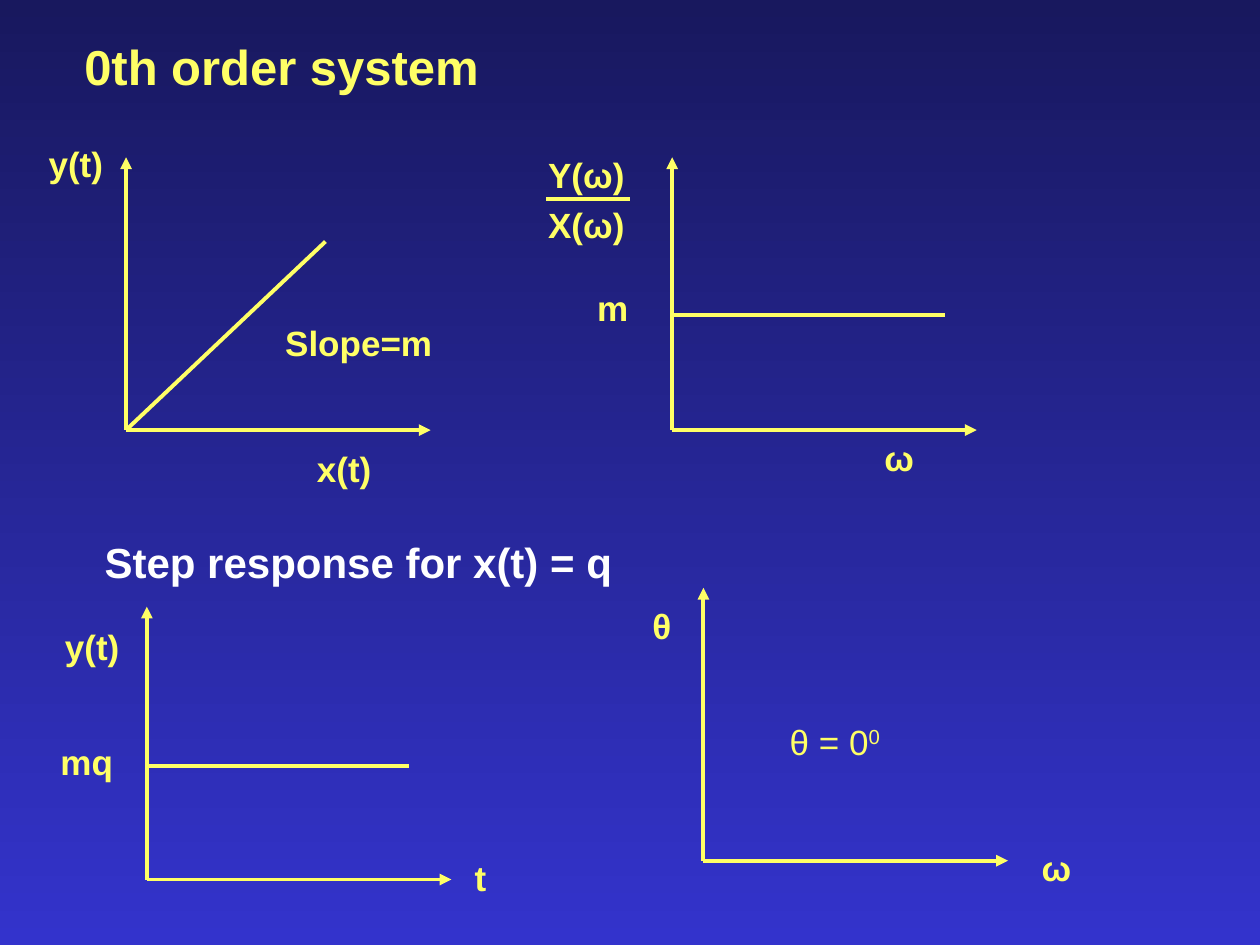
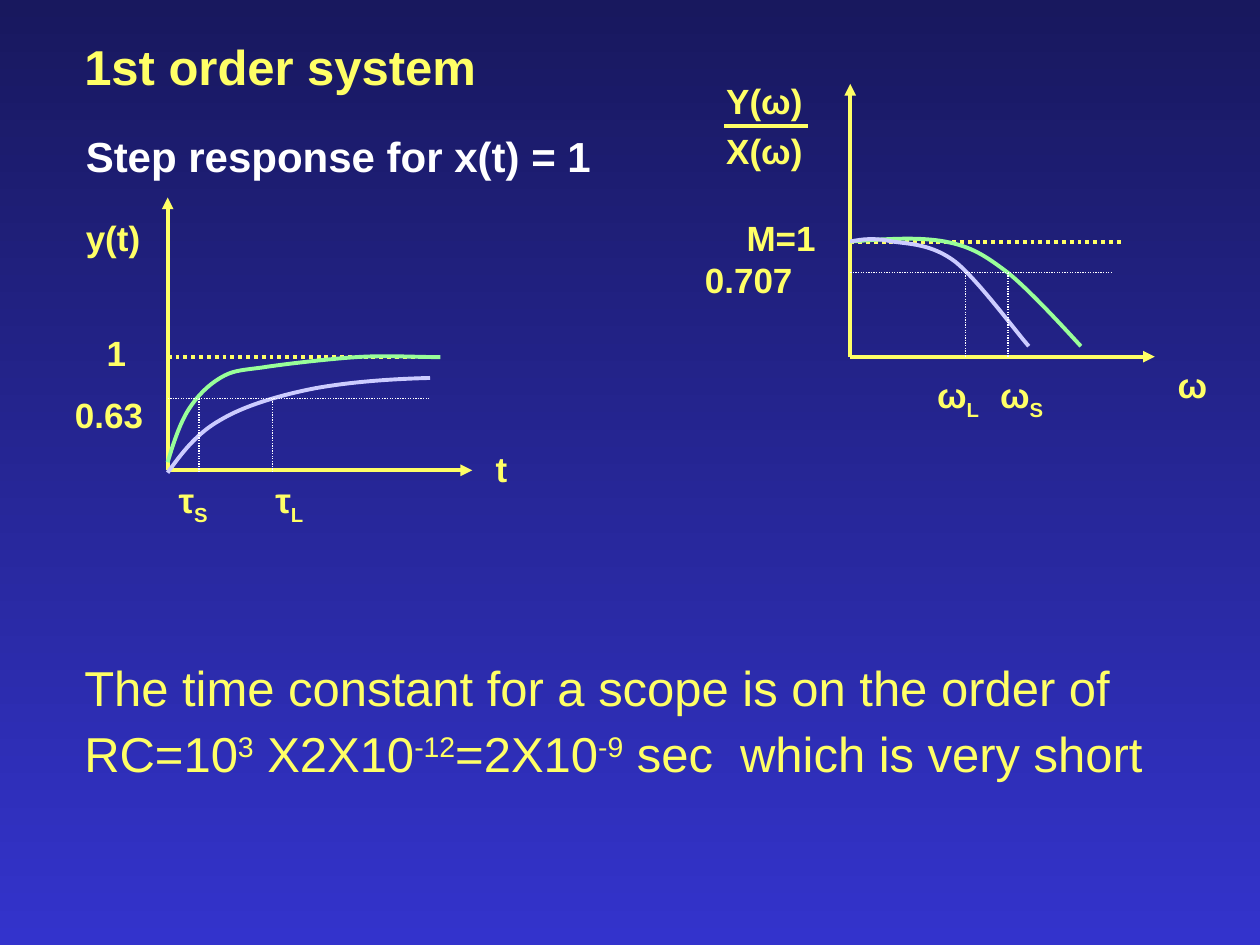
import pptx
import pptx.dml.color
import pptx.enum.dml
import pptx.enum.shapes
import pptx.enum.text
import pptx.oxml
import pptx.oxml.ns
import pptx.util
from lxml import etree

Cm = pptx.util.Cm
YELLOW, WHITE, GREEN, LILAC = "FFFF66", "FFFFFF", "99FF99", "CCCCFF"
NIGHT, BLUE = "18185E", "3333CC"
AXIS_WIDTH, AXIS_HEIGHT = 6.14, 5.5
GUIDE_LENGTH = 5.29
SUPER, SUB = 30000, -25000


def color(code):
    return pptx.dml.color.RGBColor.from_string(code)


def plot_box(left, top):
    return left, top, AXIS_WIDTH, AXIS_HEIGHT


# ---- Basic parts, placed in cm relative to a box ----

def add_text(page, box, place, paragraphs, shift=SUPER, size=20, bold=True,
             ink=YELLOW, height=1.12):
    """Write paragraphs of spans; every second span is raised or lowered."""
    x, y, width = place
    frame = page.shapes.add_textbox(
        Cm(box[0] + x), Cm(box[1] + y), Cm(width), Cm(height)).text_frame
    frame.word_wrap = False
    frame.margin_right = 0  # room so that tight boxes stay on one line
    formats = {"name": "Arial", "size": pptx.util.Pt(size), "bold": bold}
    for number, spans in enumerate(paragraphs):
        para = frame.add_paragraph() if number else frame.paragraphs[0]
        if number:
            para.space_before = pptx.util.Pt(4)
        for position, text in enumerate(spans):
            span = para.add_run()
            span.text = text
            for name, value in formats.items():
                setattr(span.font, name, value)
            span.font.color.rgb = color(ink)
            if position % 2:
                span.font._element.set("baseline", str(shift))


def add_labels(page, box, labels):
    for text, *place in labels:
        add_text(page, box, place, [[text]])


def add_symbols(page, box, symbols):
    """Write symbols that carry a subscript."""
    for symbol, subscript, *place in symbols:
        add_text(page, box, place, [[symbol, subscript]], shift=SUB, height=1.22)


def add_line(page, box, start, end, ink=YELLOW, weight=2.25, dotted=False, arrow=False):
    line = page.shapes.add_connector(
        pptx.enum.shapes.MSO_CONNECTOR.STRAIGHT,
        Cm(box[0] + start[0]), Cm(box[1] + start[1]),
        Cm(box[0] + end[0]), Cm(box[1] + end[1]))
    line.line.color.rgb = color(ink)
    line.line.width = pptx.util.Pt(weight)
    if dotted:
        line.line.dash_style = pptx.enum.dml.MSO_LINE.ROUND_DOT
    if arrow:
        etree.SubElement(line.line._get_or_add_ln(),
                         pptx.oxml.ns.qn("a:tailEnd"), type="triangle")
    etree.SubElement(line._element.spPr, pptx.oxml.ns.qn("a:effectLst"))


def add_curve(page, box, points, ink):
    """Draw a chain of cubic curves: a start, then three points per curve."""
    places = [(Cm(box[0] + x), Cm(box[1] + y)) for x, y in points]
    builder = page.shapes.build_freeform(*places[0])
    builder.add_line_segments(places[1:], close=False)
    curve = builder.convert_to_shape()
    curve.shadow.inherit = False
    curve.fill.background()
    curve.line.color.rgb = color(ink)
    curve.line.width = pptx.util.Pt(2.25)
    # Turn each three straight segments into one cubic segment
    outline = next(curve._element.iter(pptx.oxml.ns.qn("a:path")))
    segments = outline.findall(pptx.oxml.ns.qn("a:lnTo"))
    for first in range(0, len(segments), 3):
        cubic = etree.SubElement(outline, pptx.oxml.ns.qn("a:cubicBezTo"))
        for segment in segments[first:first + 3]:
            cubic.append(segment[0])
            outline.remove(segment)


# ---- Shared regions ----

def add_title(page, text):
    add_text(page, (1.45, 0.61), (0, 0, 8.43), [[text]], size=28, height=1.45)


def add_step_heading(page, box, text):
    add_text(page, box, (0, 0, 10.72), [[text]], size=24, ink=WHITE, height=1.27)


def add_axes(page, box):
    width, height = box[2:]
    add_line(page, box, (0, height), (0, 0), arrow=True)
    add_line(page, box, (0, height), (width, height), arrow=True)


def add_guides(page, box, level, length, drops, floor):
    """Draw a thin dotted level and its drops to the horizontal axis."""
    thin = {"ink": WHITE, "weight": 0.75, "dotted": True}
    add_line(page, box, (0, level), (length, level), **thin)
    for x in drops:
        add_line(page, box, (x, level), (x, floor), **thin)


def add_gain_plot(page, box, dotted=False):
    """Gain over frequency: axes, the ratio Y/X and the level."""
    add_axes(page, box)
    add_labels(page, box, [("Y(ω)", -2.75, -0.21, 2.03), ("X(ω)", -2.75, 0.8, 2.03)])
    add_line(page, box, (-2.54, 0.85), (-0.85, 0.85))
    add_line(page, box, (0, 3.18), (5.5, 3.18), dotted=dotted)


def add_step_plot(page, box, dotted=False):
    """Output over time: axes, their names and the final level."""
    add_axes(page, box)
    add_labels(page, box, [("y(t)", -1.9, 0.26, 1.6), ("t", 6.36, 4.91, 0.74)])
    add_line(page, box, (0, 3.22), (GUIDE_LENGTH, 3.22), dotted=dotted)


# ---- 0th order slide ----

def add_slope_plot(page, box):
    add_axes(page, box)
    add_line(page, box, (0, box[3]), (4.02, 1.7))
    add_labels(page, box, [("y(t)", -1.81, -0.43, 1.6), ("x(t)", 3.6, 5.72, 1.6),
                           ("Slope=m", 2.96, 3.18, 3.48)])


def add_phase_plot(page, box):
    add_axes(page, box)
    add_labels(page, box, [("θ", -1.28, 0.21, 0.89), ("ω", 6.57, 5.08, 1.09)])
    add_text(page, box, (1.49, 2.55, 2.31), [["θ = 0", "0"]], bold=False)


def build_zeroth_order(page):
    add_title(page, "0th order system")
    add_slope_plot(page, plot_box(2.54, 3.17))

    gain = plot_box(13.55, 3.17)
    add_gain_plot(page, gain)
    add_labels(page, gain, [("m", -1.76, 2.49, 1.14), ("ω", 4.03, 5.51, 1.09)])

    add_step_heading(page, (1.86, 10.69), "Step response for x(t) = q")
    step = plot_box(2.96, 12.23)
    add_step_plot(page, step)
    add_labels(page, step, [("mq", -1.99, 2.58, 1.55)])

    add_phase_plot(page, plot_box(14.18, 11.85))


# ---- 1st order slide ----

def add_low_pass_plot(page, box):
    add_gain_plot(page, box, dotted=True)
    add_labels(page, box, [("M=1", -2.34, 2.55, 1.9), ("0.707", -3.18, 3.39, 2.26),
                           ("ω", 6.35, 5.52, 1.09)])
    add_curve(page, box, [
        (0, 3.18), (0.69, 3.13), (1.37, 3.08), (1.91, 3.18), (2.44, 3.28),
        (2.72, 3.46), (3.18, 3.81), (3.63, 4.17), (4.42, 5.04), (4.65, 5.29)], GREEN)
    add_curve(page, box, [
        (0, 3.18), (0.25, 3.13), (0.48, 3.1), (0.85, 3.18), (1.19, 3.23),
        (1.65, 3.23), (2.12, 3.59), (2.57, 3.95), (3.35, 5.01), (3.6, 5.29)], LILAC)
    add_guides(page, box, 3.81, GUIDE_LENGTH, (2.33, 3.18), box[3])
    add_symbols(page, box, [("ω", "L", 1.5, 5.72, 1.36), ("ω", "S", 2.77, 5.72, 1.36)])


def add_rise_plot(page, box):
    add_step_plot(page, box, dotted=True)
    add_labels(page, box, [("1", -1.48, 2.57, 0.89), ("0.63", -2.12, 3.82, 1.88)])
    add_curve(page, box, [
        (0, 5.34), (0.12, 4.94), (0.25, 4.55), (0.42, 4.28), (0.6, 4), (0.81, 3.79),
        (1.06, 3.64), (1.31, 3.49), (1.44, 3.49), (1.9, 3.43), (2.35, 3.36),
        (3.22, 3.26), (3.8, 3.22), (4.41, 3.18), (4.95, 3.22), (5.5, 3.22)], GREEN)
    add_curve(page, box, [
        (0, 5.55), (0.28, 5.16), (0.58, 4.76), (1.06, 4.49), (1.54, 4.2),
        (2.25, 3.99), (2.96, 3.85), (3.68, 3.72), (4.49, 3.66), (5.29, 3.64)], LILAC)
    add_guides(page, box, 4.06, GUIDE_LENGTH, (0.63, 2.12), 5.55)
    add_symbols(page, box, [("τ", "S", -0.03, 5.54, 1.08), ("τ", "L", 1.92, 5.54, 1.08)])


def build_first_order(page):
    add_title(page, "1st order system")
    add_low_pass_plot(page, plot_box(17.14, 1.69))
    add_step_heading(page, (1.48, 2.51), "Step response for x(t) = 1")
    add_rise_plot(page, plot_box(3.38, 3.98))
    add_text(page, (1.45, 13.13), (0, 0, 22.15), [
        ["The time constant for a scope is on the order of"],
        ["RC=10", "3", " X2X10", "-12", "=2X10", "-9", " sec  which is very short"],
    ], size=28, bold=False, height=2.79)


def set_background(deck):
    fill = deck.slide_master.background.fill
    fill.gradient()
    fill.gradient_angle = 270
    for stop, position, code in zip(fill.gradient_stops, (0, 1), (NIGHT, BLUE)):
        stop.position = position
        stop.color.rgb = color(code)


def main():
    deck = pptx.Presentation()
    deck.slide_width, deck.slide_height = Cm(25.4), Cm(19.05)
    set_background(deck)
    for build in (build_zeroth_order, build_first_order):
        build(deck.slides.add_slide(deck.slide_layouts[6]))
    deck.save("out.pptx")


if __name__ == "__main__":
    main()
